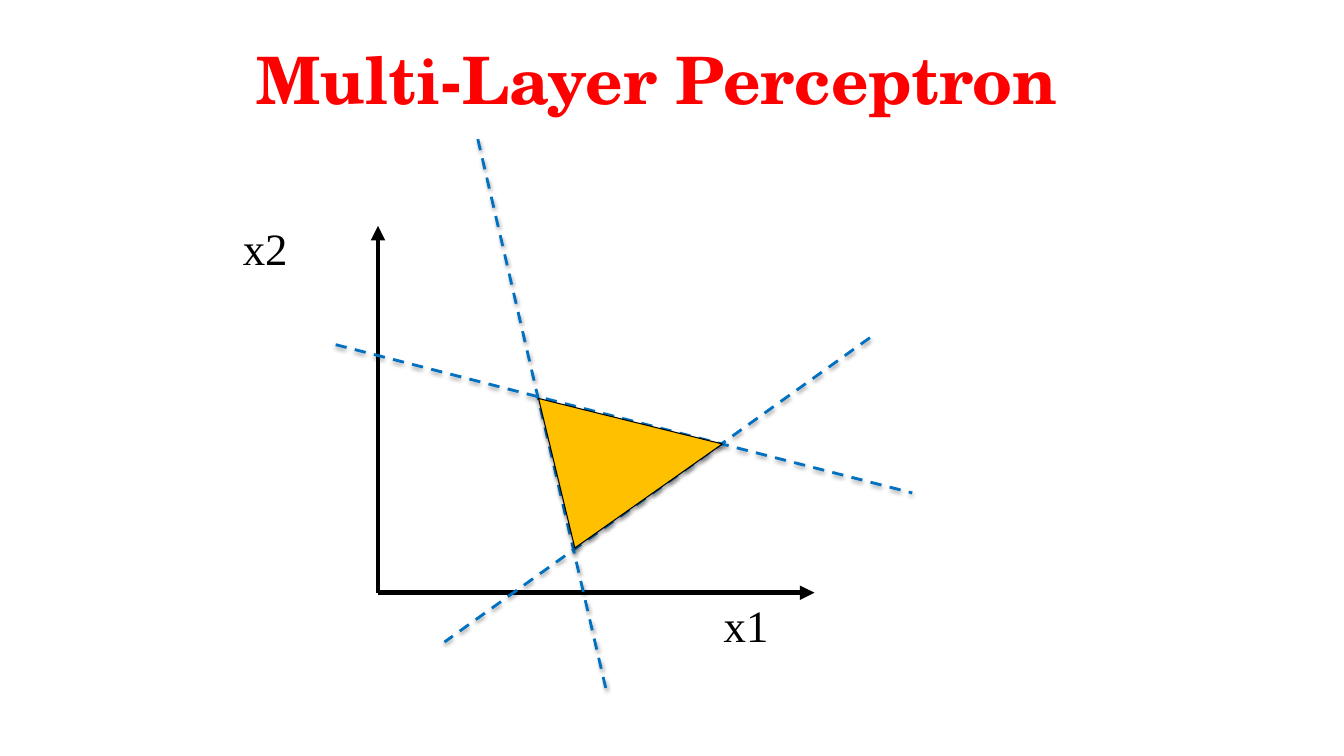
from lxml import etree
from pptx import Presentation
from pptx.dml.color import RGBColor
from pptx.enum import dml, shapes, text
from pptx.oxml.ns import qn
from pptx.util import Pt

BLACK = RGBColor(0x00, 0x00, 0x00)
RED = RGBColor(0xFF, 0x00, 0x00)
BLUE = RGBColor(0x00, 0x70, 0xC0)
AMBER = RGBColor(0xFF, 0xC0, 0x00)


def set_shadow(sp, opacity=None, distance=0):
    """Replace the theme shadow; without an opacity there is none."""
    spPr = sp._element.spPr
    for old in spPr.findall(qn("a:effectLst")):
        spPr.remove(old)
    effects = etree.SubElement(spPr, qn("a:effectLst"))
    if opacity:
        shadow = etree.SubElement(
            effects, qn("a:outerShdw"), blurRad=str(Pt(3.1)),
            dist=str(Pt(distance)), dir="5400000", rotWithShape="0")
        color = etree.SubElement(shadow, qn("a:srgbClr"), val=str(BLACK))
        etree.SubElement(color, qn("a:alpha"), val=str(opacity * 1000))


def add_line(s, x1, y1, x2, y2, color, width):
    line = s.shapes.add_connector(
        shapes.MSO_CONNECTOR.STRAIGHT, Pt(x1), Pt(y1), Pt(x2), Pt(y2))
    line.line.color.rgb = color
    line.line.width = Pt(width)
    return line


def add_title(s, x, y, w, h):
    title = s.shapes.title
    title.left, title.top, title.width, title.height = Pt(x), Pt(y), Pt(w), Pt(h)
    tf = title.text_frame
    tf.text = "Multi-Layer Perceptron"
    tf.vertical_anchor = text.MSO_ANCHOR.MIDDLE
    p = tf.paragraphs[0]
    p.alignment = text.PP_ALIGN.CENTER
    p.font.name = "TeX Gyre Schola"
    p.font.size = Pt(46.7)
    p.font.bold = True
    p.font.color.rgb = RED


def add_axes(s, x, y):
    # Arrows from the shared origin
    ox, oy = x + 104, y + 324.4
    for end_x, end_y in ((ox, y + 62.3), (x + 415.8, oy)):
        axis = add_line(s, ox, oy, end_x, end_y, BLACK, 3.5)
        etree.SubElement(axis.line._get_or_add_ln(), qn("a:tailEnd"), type="triangle")
        set_shadow(axis)

    # Axis names
    for name, dx, dy in (("x1", 343.8, 324.4), ("x2", 0.3, 55.1)):
        label = s.shapes.add_textbox(Pt(x + dx), Pt(y + dy), Pt(46.8), Pt(46.1))
        tf = label.text_frame
        tf.word_wrap = False
        tf.auto_size = text.MSO_AUTO_SIZE.SHAPE_TO_FIT_TEXT
        p = tf.paragraphs[0]
        p.text = name
        p.font.name = "Times New Roman"
        p.font.size = Pt(32)
        p.font.color.rgb = BLACK


def add_decision_region(s, x, y):
    # Dashed decision boundaries
    boundaries = ((455.4, 142.2, 151.5, 359.6),
                  (175.3, 0.4, 267.4, 395.6),
                  (73.8, 147.2, 485.6, 253.1))
    for x1, y1, x2, y2 in boundaries:
        boundary = add_line(s, x + x1, y + y1, x + x2, y + y2, BLUE, 2)
        boundary.line.dash_style = dml.MSO_LINE.DASH
        set_shadow(boundary, 38, 1.6)

    # Enclosed triangle
    region = s.shapes.add_shape(
        shapes.MSO_SHAPE.ISOSCELES_TRIANGLE,
        Pt(x + 203.4), Pt(y + 162.4), Pt(128.9), Pt(102.2))
    region.adjustments[0] = 0.313
    region.rotation = 324.8
    region.fill.solid()
    region.fill.fore_color.rgb = AMBER
    region.line.color.rgb = BLACK
    region.line.width = Pt(0.75)
    set_shadow(region, 35, 1.8)


def main():
    prs = Presentation()
    prs.slide_width, prs.slide_height = Pt(960), Pt(540)
    s = prs.slides.add_slide(prs.slide_layouts[5])
    plot_x, plot_y = 166, 99
    add_title(s, 26.6, 19.4, 885.6, 73.4)
    add_axes(s, plot_x, plot_y)
    add_decision_region(s, plot_x, plot_y)
    prs.save("out.pptx")


if __name__ == "__main__":
    main()
